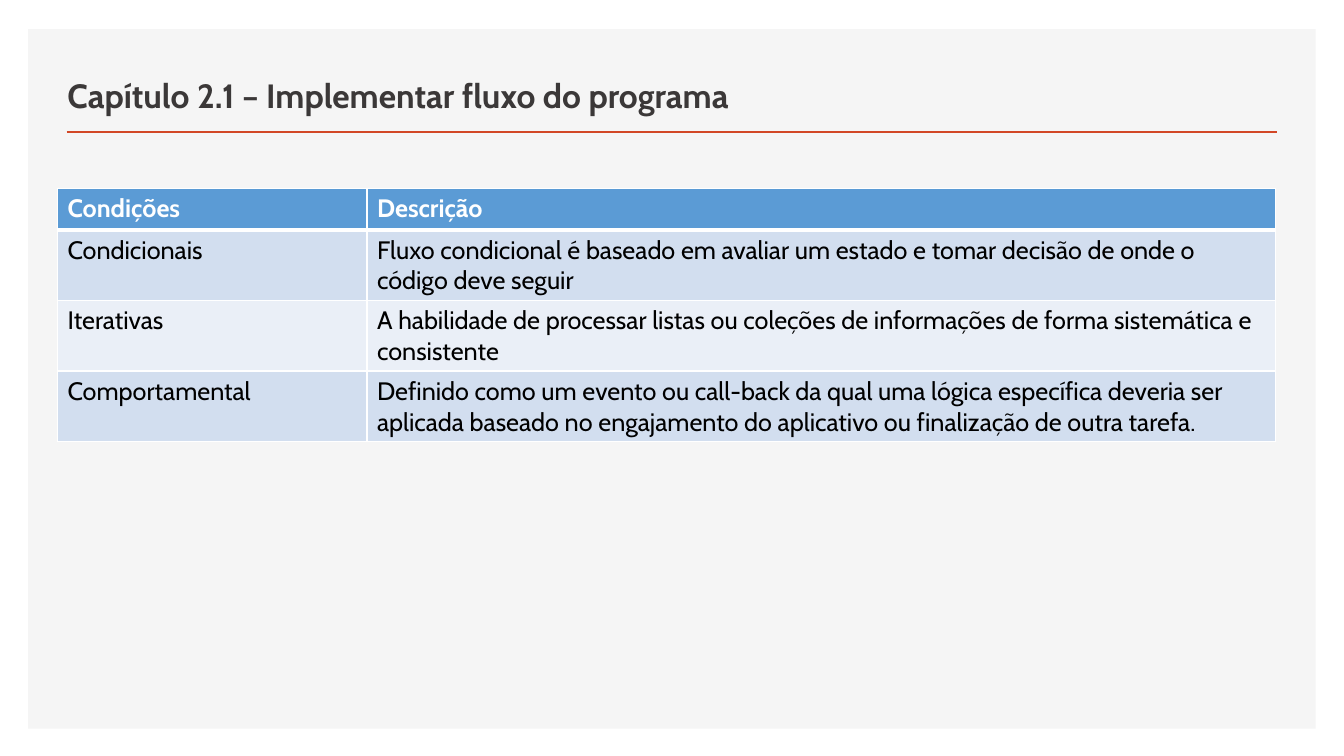
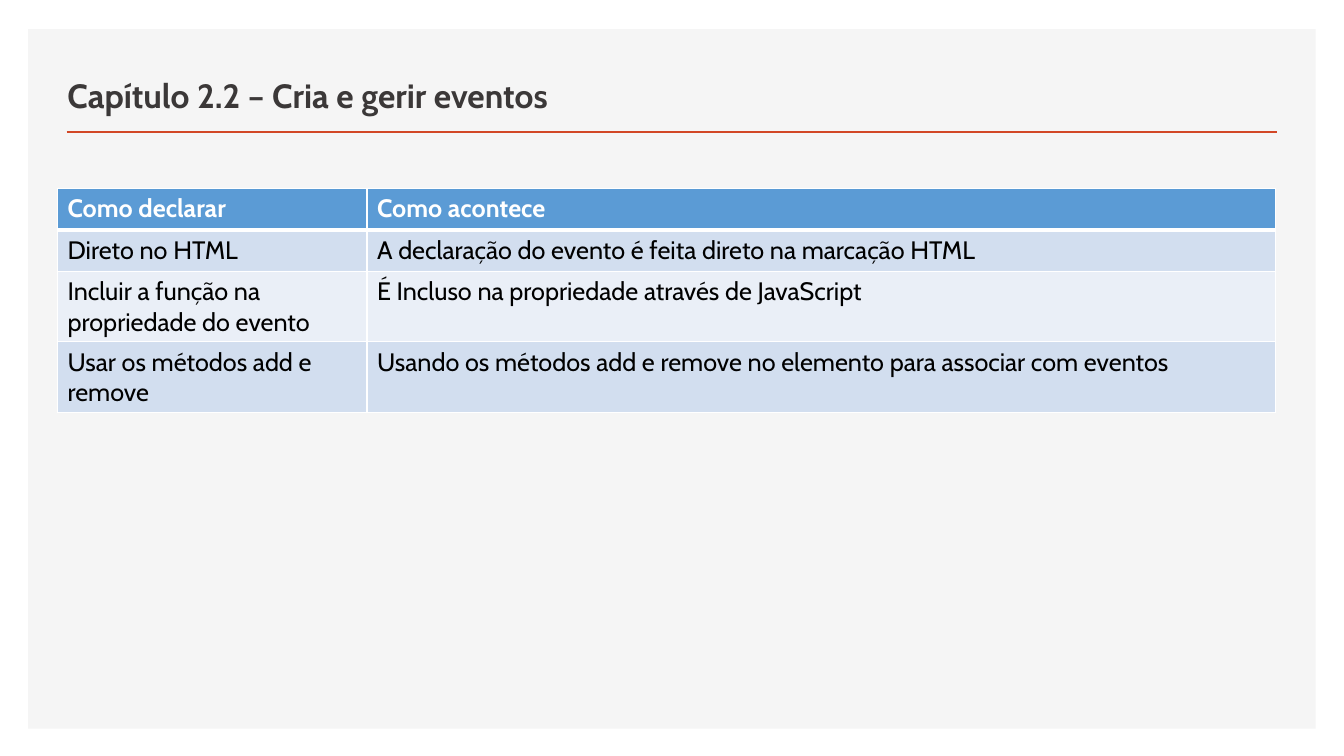
from lxml.etree import SubElement
from pptx import Presentation
from pptx.dml.color import RGBColor
from pptx.enum.shapes import MSO_CONNECTOR, MSO_SHAPE
from pptx.enum.text import MSO_ANCHOR
from pptx.oxml.ns import qn
from pptx.util import Inches, Pt

SLIDE_WIDTH, SLIDE_HEIGHT = 13.33, 7.5
MARGIN = 0.28
CONTENT_LEFT = 0.57
TITLE_TOP, TITLE_WIDTH, TITLE_HEIGHT = 0.49, 12.14, 0.7
RULE_LEFT, RULE_RIGHT, RULE_TOP = 0.66, 12.67, 1.31
TABLE_TOP = 1.87
COLUMN_WIDTHS = (3.07, 9.01)
ROW_HEIGHT = 0.41

FONT = "Cabin"
WHITE = RGBColor(0xFF, 0xFF, 0xFF)
BLACK = RGBColor(0x00, 0x00, 0x00)
PANEL_GREY = RGBColor(0xF5, 0xF5, 0xF5)
TITLE_GREY = RGBColor(0x3B, 0x38, 0x38)
RULE_ORANGE = RGBColor(0xD2, 0x47, 0x26)
HEADER_BLUE = RGBColor(0x5B, 0x9B, 0xD5)
BAND_FILLS = (RGBColor(0xD2, 0xDE, 0xEF), RGBColor(0xEA, 0xEF, 0xF7))

CHAPTERS = (
    ("Capítulo 2.1 – Implementar fluxo do programa", (
        ("Condições", "Descrição"),
        ("Condicionais",
         "Fluxo condicional é baseado em avaliar um estado e tomar decisão "
         "de onde o código deve seguir"),
        ("Iterativas",
         "A habilidade de processar listas ou coleções de informações de "
         "forma sistemática e consistente"),
        ("Comportamental",
         "Definido como um evento ou call-back da qual uma lógica específica "
         "deveria ser aplicada baseado no engajamento do aplicativo ou "
         "finalização de outra tarefa."),
    )),
    ("Capítulo 2.2 – Cria e gerir eventos", (
        ("Como declarar", "Como acontece"),
        ("Direto no HTML",
         "A declaração do evento é feita direto na marcação HTML"),
        ("Incluir a função na propriedade do evento",
         "É Incluso na propriedade através de JavaScript"),
        ("Usar os métodos add e remove",
         "Usando os métodos add e remove no elemento para associar com eventos"),
    )),
)


def write_text(frame, text, size, color, bold):
    para = frame.paragraphs[0]
    para.text = text
    font = para.font
    font.name, font.size, font.bold = FONT, Pt(size), bold
    font.color.rgb = color


def add_panel(page):
    panel = page.shapes.add_shape(
        MSO_SHAPE.RECTANGLE, Inches(MARGIN), Inches(MARGIN + 0.01),
        Inches(SLIDE_WIDTH - 2 * MARGIN), Inches(SLIDE_HEIGHT - 2 * MARGIN))
    panel.shadow.inherit = False
    panel.fill.solid()
    panel.fill.fore_color.rgb = PANEL_GREY
    panel.line.fill.background()


def add_title_rule(page):
    rule = page.shapes.add_connector(
        MSO_CONNECTOR.STRAIGHT, Inches(RULE_LEFT), Inches(RULE_TOP),
        Inches(RULE_RIGHT), Inches(RULE_TOP))
    rule.line.color.rgb = RULE_ORANGE
    rule.line.width = Pt(2)
    SubElement(rule._element.spPr, qn("a:effectLst"))


def add_title(page, title):
    box = page.shapes.add_textbox(
        Inches(CONTENT_LEFT), Inches(TITLE_TOP),
        Inches(TITLE_WIDTH), Inches(TITLE_HEIGHT))
    frame = box.text_frame
    frame.word_wrap = True
    frame.vertical_anchor = MSO_ANCHOR.BOTTOM
    write_text(frame, title, 24, TITLE_GREY, True)


def set_border(cell, side, points):
    border = SubElement(cell._tc.get_or_add_tcPr(), qn(f"a:ln{side}"),
                        w=str(Pt(points)))
    fill = SubElement(border, qn("a:solidFill"))
    SubElement(fill, qn("a:srgbClr"), val=str(WHITE))


def style_cell(cell, text, row_index):
    """Borders go in before the fill, as the schema orders them."""
    header = row_index == 0
    heavy_top, heavy_bottom = row_index == 1, header
    for side, heavy in (("L", False), ("R", False),
                        ("T", heavy_top), ("B", heavy_bottom)):
        set_border(cell, side, 3 if heavy else 1)
    cell.fill.solid()
    cell.fill.fore_color.rgb = (
        HEADER_BLUE if header else BAND_FILLS[(row_index - 1) % 2])
    write_text(cell.text_frame, text, 18, WHITE if header else BLACK, header)


def add_definition_table(page, rows):
    table = page.shapes.add_table(
        len(rows), len(COLUMN_WIDTHS), Inches(CONTENT_LEFT), Inches(TABLE_TOP),
        Inches(sum(COLUMN_WIDTHS)), Inches(ROW_HEIGHT * len(rows))).table
    for column, width in zip(table.columns, COLUMN_WIDTHS):
        column.width = Inches(width)
    for row_index, texts in enumerate(rows):
        for column_index, text in enumerate(texts):
            style_cell(table.cell(row_index, column_index), text, row_index)


def add_chapter(deck, title, rows):
    page = deck.slides.add_slide(deck.slide_layouts[6])
    add_panel(page)
    add_title_rule(page)
    add_title(page, title)
    add_definition_table(page, rows)


def main():
    deck = Presentation()
    deck.slide_width = Inches(SLIDE_WIDTH)
    deck.slide_height = Inches(SLIDE_HEIGHT)
    for title, rows in CHAPTERS:
        add_chapter(deck, title, rows)
    deck.save("out.pptx")


if __name__ == "__main__":
    main()
